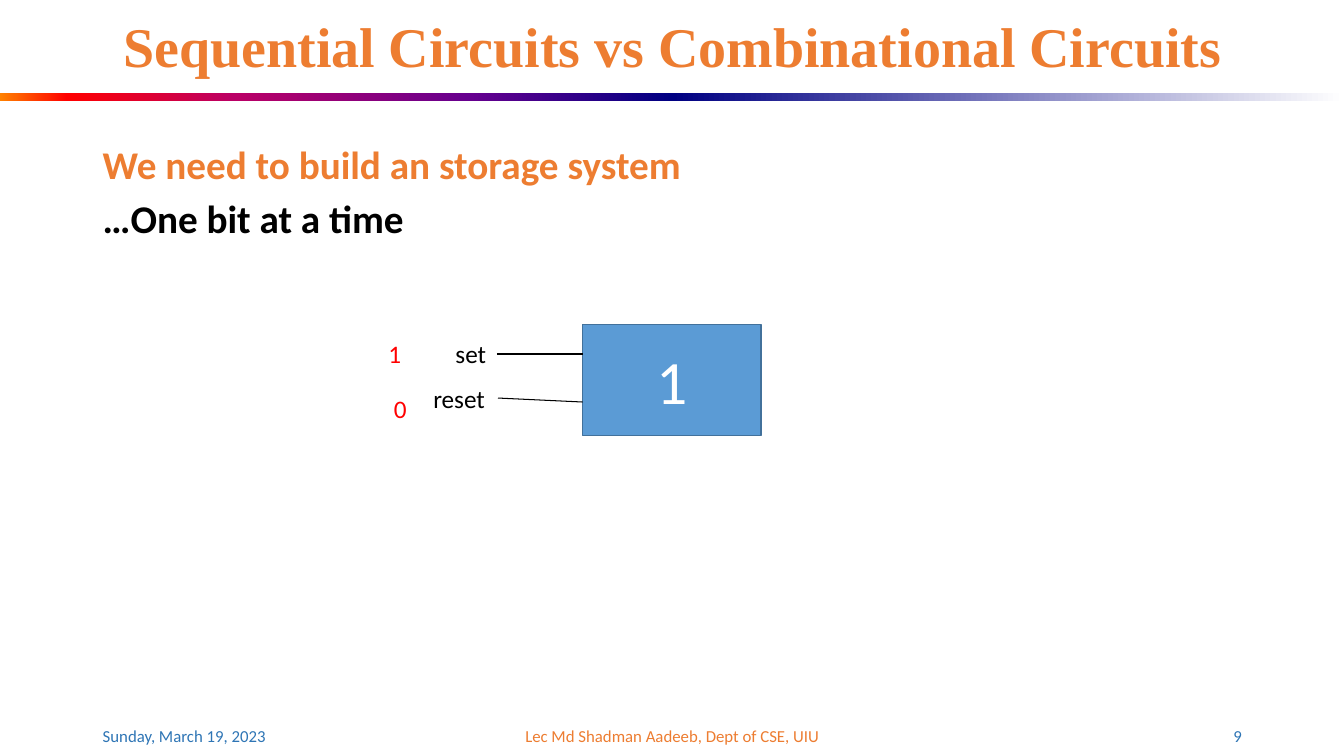
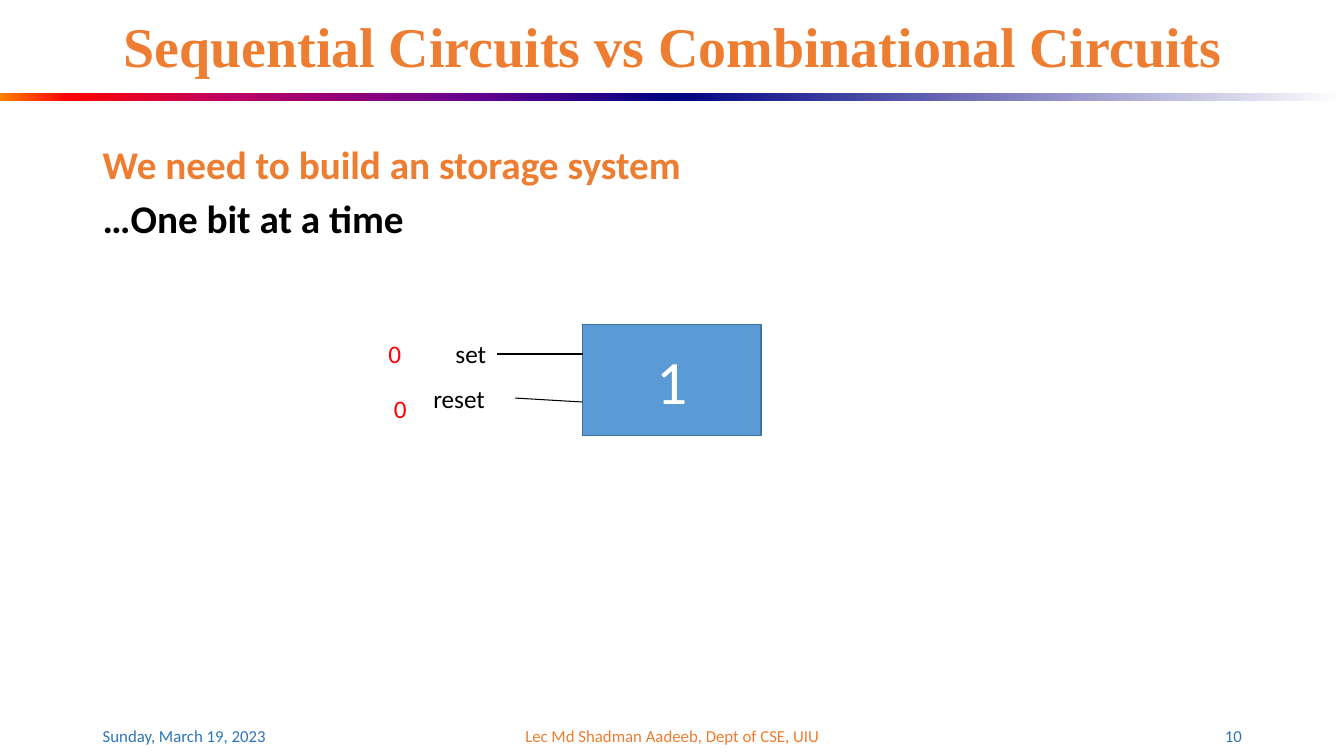
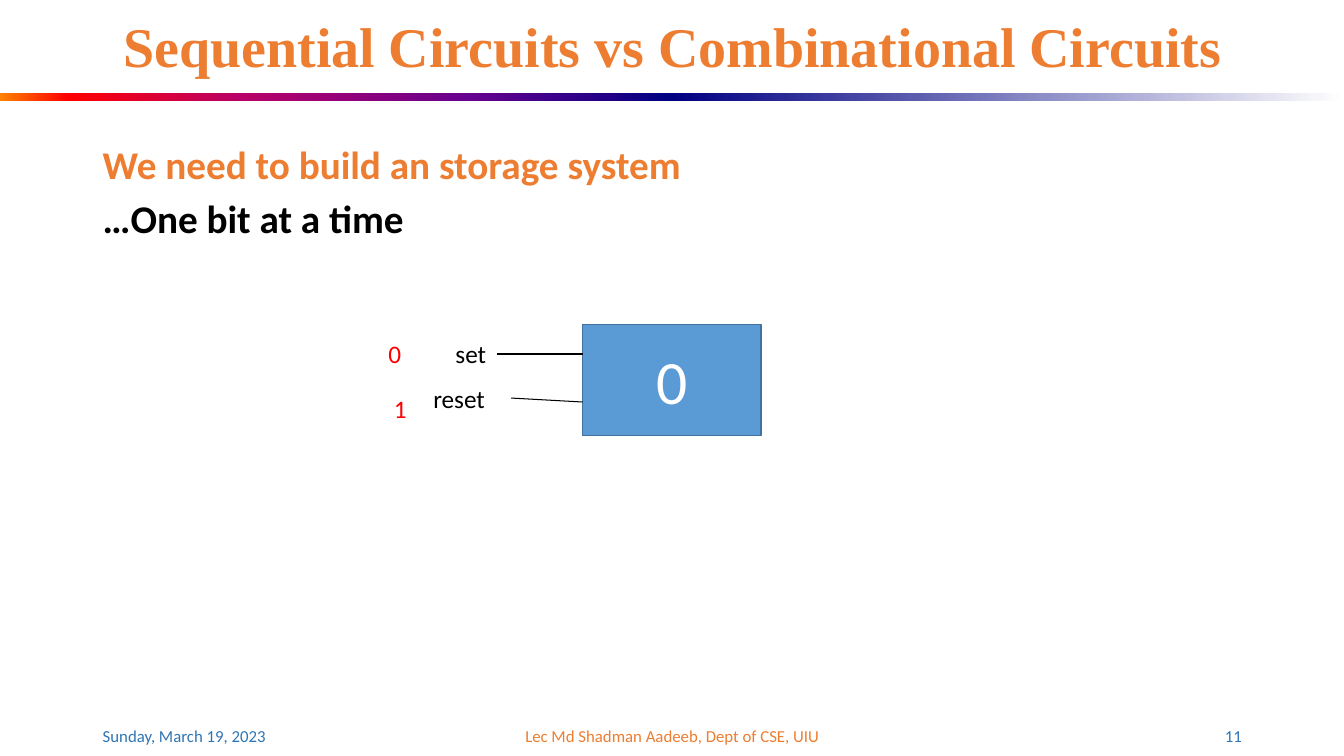
from dataclasses import dataclass

from lxml.etree import SubElement
from pptx import Presentation
from pptx.dml.color import RGBColor
from pptx.enum.shapes import MSO_CONNECTOR as CONN, MSO_SHAPE as SHAPE
from pptx.enum.text import MSO_ANCHOR as ANCHOR, MSO_AUTO_SIZE as AUTO, PP_ALIGN as ALIGN
from pptx.oxml.ns import qn
from pptx.slide import Slide
from pptx.text.text import TextFrame
from pptx.util import Cm, Pt

WIDTH, HEIGHT = 33.87, 19.05
MARGIN = 2.34
CONTENT_W = 29.21
ORANGE, BLUE, BLACK, WHITE, RED = "ED7D31", "2E75B5", "000000", "FFFFFF", "FF0000"
BOX_FILL, BOX_LINE = "5B9BD5", "42719B"
TITLE = "Sequential Circuits vs Combinational Circuits"
TITLE_FONT, BODY_FONT = "Times New Roman", "Calibri"
RAINBOW = [(0, "FF8200"), (10, "FF0000"), (35, "BA0066"), (70, "66008F"), (100, "000082")]
FADE = [(0, "000082"), (100, "FFFFFF")]


@dataclass(frozen=True)
class Box:
    """Position and size in centimetres."""

    x: float
    y: float
    w: float
    h: float

    @property
    def right(self) -> float:
        """Return the right edge."""
        return round(self.x + self.w, 2)

    def emu(self) -> tuple[Cm, Cm, Cm, Cm]:
        """Return the four lengths for python-pptx."""
        return Cm(self.x), Cm(self.y), Cm(self.w), Cm(self.h)


@dataclass(frozen=True)
class State:
    """One state of the one-bit store."""

    number: int
    set_bit: str
    reset_bit: str
    stored: str
    reset_w: float


STATES = [
    State(9, "1", "0", "1", 1.88),
    State(10, "0", "0", "1", 2.31),
    State(11, "0", "1", "0", 2.21),
]
CELL = Box(14.68, 8.18, 4.5, 2.79)


def rgb(color: str) -> RGBColor:
    """Turn a hex string into a colour."""
    return RGBColor.from_string(color)


def write(tf: TextFrame, text: str, *, size: float = 18, color: str = BLACK,
          font: str = BODY_FONT, bold: bool = False, align: ALIGN = ALIGN.LEFT,
          anchor: ANCHOR = ANCHOR.TOP, spacing: float = 1.0, before: float = 0,
          new: bool = False) -> None:
    """Write one formatted paragraph, added below the others if new."""
    tf.word_wrap = True
    tf.auto_size = AUTO.NONE
    tf.vertical_anchor = anchor
    p = tf.add_paragraph() if new else tf.paragraphs[0]
    p.alignment, p.line_spacing, p.space_before = align, spacing, Pt(before)
    r = p.add_run()
    r.text = text
    r.font.size, r.font.name, r.font.bold = Pt(size), font, bold
    r.font.color.rgb = rgb(color)


def add_text(s: Slide, box: Box, text: str, **fmt) -> TextFrame:
    """Add a text box and return its text frame."""
    tf = s.shapes.add_textbox(*box.emu()).text_frame
    write(tf, text, **fmt)
    return tf


def add_band(s: Slide, box: Box, stops: list[tuple[int, str]]) -> None:
    """Add a band with a left-to-right gradient."""
    sp = s.shapes.add_shape(SHAPE.RECTANGLE, *box.emu())
    sp.shadow.inherit = False
    sp.line.fill.background()
    sp.fill.gradient()
    sp.fill.gradient_angle = 0
    gs_list = next(sp.element.iter(qn("a:gsLst")))
    for gs in list(gs_list):
        gs_list.remove(gs)
    for percent, color in stops:
        gs = SubElement(gs_list, qn("a:gs"), pos=str(percent * 1000))
        SubElement(gs, qn("a:srgbClr"), val=color)


def add_wire(s: Slide, x1: float, y1: float, x2: float, y2: float) -> None:
    """Add a thin black line."""
    line = s.shapes.add_connector(CONN.STRAIGHT, Cm(x1), Cm(y1), Cm(x2), Cm(y2))
    line.line.color.rgb = rgb(BLACK)
    line.line.width = Pt(0.75)
    SubElement(line.element.spPr, qn("a:effectLst"))


def add_frame(s: Slide, number: int) -> None:
    """Add the title, the bands and the footer."""
    half = WIDTH / 2
    for i, stops in enumerate((RAINBOW, FADE)):
        add_band(s, Box(i * half, MARGIN, half, 0.2), stops)
    title = s.shapes.title
    title.left, title.top, title.width, title.height = Box(MARGIN, 0.41, CONTENT_W, 1.68).emu()
    write(title.text_frame, TITLE, size=40, color=ORANGE, font=TITLE_FONT, bold=True,
          align=ALIGN.CENTER, anchor=ANCHOR.MIDDLE, spacing=0.9)
    footers = [
        (MARGIN, 7.62, "Sunday, March 19, 2023", BLUE, ALIGN.LEFT),
        (11.23, 11.43, "Lec Md Shadman Aadeeb, Dept of CSE, UIU", ORANGE, ALIGN.CENTER),
        (23.93, 7.62, str(number), BLUE, ALIGN.RIGHT),
    ]
    for x, w, text, color, align in footers:
        add_text(s, Box(x, 18.03, w, 1.02), text, size=12, color=color, align=align,
                 anchor=ANCHOR.MIDDLE)


def add_store(s: Slide, state: State) -> None:
    """Add the storage cell with its inputs."""
    sp = s.shapes.add_shape(SHAPE.RECTANGLE, *CELL.emu())
    sp.shadow.inherit = False
    sp.fill.solid()
    sp.fill.fore_color.rgb = rgb(BOX_FILL)
    sp.line.color.rgb = rgb(BOX_LINE)
    sp.line.width = Pt(1)
    write(sp.text_frame, state.stored, size=44, color=WHITE, align=ALIGN.CENTER,
          anchor=ANCHOR.MIDDLE)
    reset = Box(10.67, 9.53, state.reset_w, 1.02)
    add_wire(s, 12.52, 8.92, CELL.x, 8.92)
    add_wire(s, reset.right, 10.03, CELL.x, 10.13)
    add_text(s, Box(11.23, 8.41, 1.65, 1.02), "set")
    add_text(s, reset, "reset")
    add_text(s, Box(9.53, 8.41, 0.84, 1.02), state.set_bit, color=RED, align=ALIGN.CENTER)
    add_text(s, Box(9.68, 9.78, 0.53, 1.02), state.reset_bit, color=RED, align=ALIGN.CENTER)


def main() -> None:
    """Build the slides and save them."""
    prs = Presentation()
    prs.slide_width, prs.slide_height = Cm(WIDTH), Cm(HEIGHT)
    for state in STATES:
        s = prs.slides.add_slide(prs.slide_layouts[5])
        add_frame(s, state.number)
        tf = add_text(s, Box(MARGIN, 3.4, CONTENT_W, 13.74),
                      "We need to build an storage system", size=28, color=ORANGE, bold=True)
        write(tf, "…One bit at a time", size=28, bold=True, before=5.6, new=True)
        add_store(s, state)
    prs.save("out.pptx")


if __name__ == "__main__":
    main()
